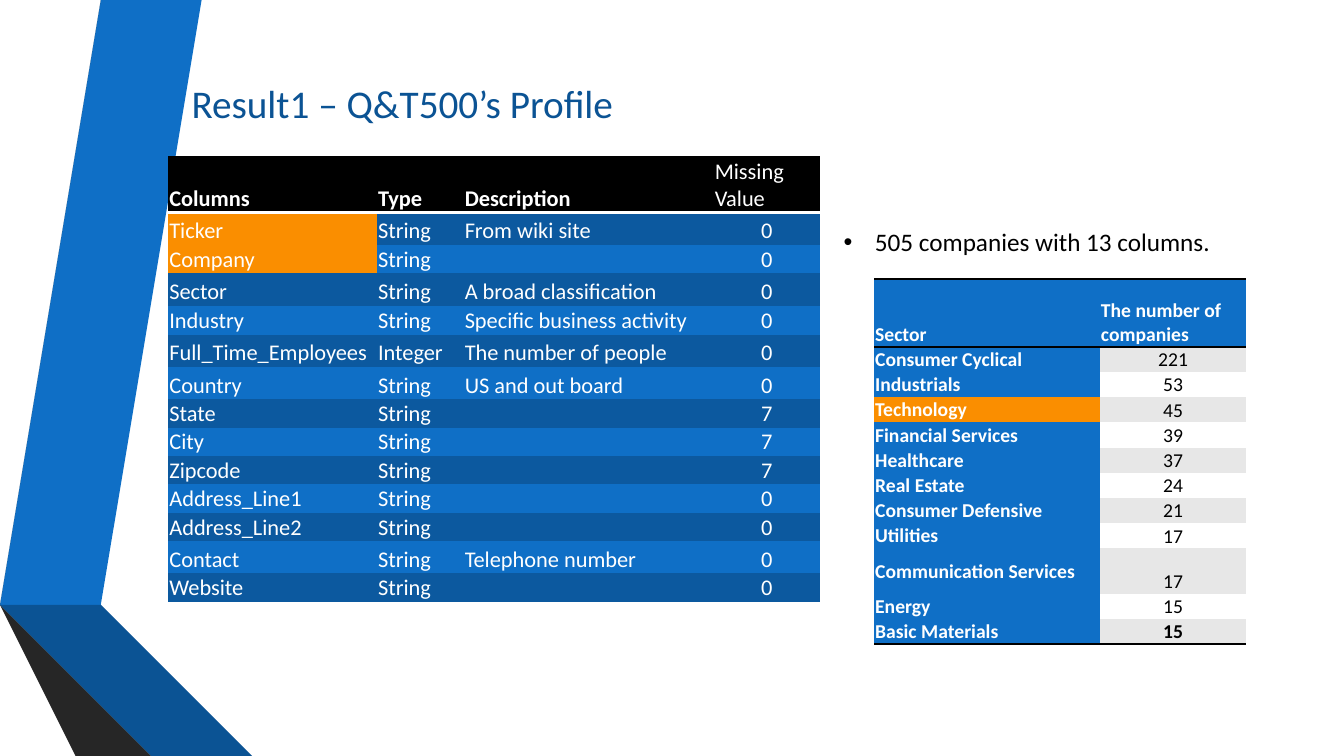
from lxml import etree
from pptx import Presentation
from pptx.dml.color import RGBColor
from pptx.enum.text import MSO_ANCHOR, MSO_AUTO_SIZE, PP_ALIGN
from pptx.oxml.ns import qn
from pptx.util import Emu, Inches, Pt

LEFT, CENTER = PP_ALIGN.LEFT, PP_ALIGN.CENTER
BOTTOM, MIDDLE = MSO_ANCHOR.BOTTOM, MSO_ANCHOR.MIDDLE
NO_FIT = MSO_AUTO_SIZE.NONE

WHITE = RGBColor(0xFF, 0xFF, 0xFF)
BLACK = RGBColor(0x00, 0x00, 0x00)
BLUE = RGBColor(0x0F, 0x6F, 0xC6)
BAND_BLUE = RGBColor(0x0C, 0x59, 0x9F)
DEEP_BLUE = RGBColor(0x0B, 0x53, 0x94)
NAVY = RGBColor(0x08, 0x37, 0x63)
ORANGE = RGBColor(0xFA, 0x8E, 0x00)
PALE_GREY = RGBColor(0xE7, 0xE7, 0xE7)
GREY = RGBColor(0x59, 0x59, 0x59)
DARK_GREY = RGBColor(0x40, 0x40, 0x40)
SOOT = RGBColor(0x26, 0x26, 0x26)

FONT = "Calibri"
PLAIN_TABLE = "{2D5ABB26-0587-4C30-8999-92F81FD0307C}"

deck = Presentation()
deck.slide_width, deck.slide_height = Inches(13.33), Inches(7.5)
slide = deck.slides.add_slide(deck.slide_layouts[5])


def add_plain_table(left, top, widths, heights):
    """Add a table without style bands or grid lines."""
    frame = slide.shapes.add_table(
        len(heights), len(widths), Inches(left), Inches(top),
        Inches(sum(widths)), Inches(sum(heights)))
    table = frame.table
    table.first_row = table.horz_banding = False
    table._tbl.tblPr.find(qn("a:tableStyleId")).text = PLAIN_TABLE
    for column, width in zip(table.columns, widths):
        column.width = Inches(width)
    for row, height in zip(table.rows, heights):
        row.height = Inches(height)
    return table


def fill_cell(cell, text, size, fill, color=WHITE, bold=False, align=LEFT,
              anchor=BOTTOM, edges=(), edge_color=BLACK):
    """Format one cell; edges lists its border tags in schema order."""
    cell.margin_left = cell.margin_right = cell.margin_top = Inches(0.01)
    cell.margin_bottom = 0
    cell.vertical_anchor = anchor
    cell.fill.solid()
    cell.fill.fore_color.rgb = fill
    para = cell.text_frame.paragraphs[0]
    para.alignment = align
    if text:
        span = para.add_run()
        span.text = text
        span.font.name, span.font.size = FONT, Pt(size)
        span.font.bold, span.font.color.rgb = bold, color
    else:
        etree.SubElement(para._p, qn("a:endParaRPr"), sz=str(size * 100))
    properties = cell._tc.get_or_add_tcPr()
    for place, edge in enumerate(edges):
        line = etree.Element(qn(edge), w=str(Pt(2)))
        paint = etree.SubElement(line, qn("a:solidFill"))
        etree.SubElement(paint, qn("a:srgbClr"), val=str(edge_color))
        properties.insert(place, line)


# Folded ribbons on the left
ribbons = [
    (BLUE, [(0.5, 5.78), (0.77, 5.83), (1.73, 0), (1.45, 0)]),
    (GREY, [(1.39, 0), (1.11, 0), (0.16, 5.73), (0.44, 5.77)]),
    (SOOT, [(0.16, 5.73), (1.45, 7.5), (1.51, 7.5)]),
    (NAVY, [(0.5, 5.79), (2.08, 7.5), (2.14, 7.5)]),
    (DEEP_BLUE, [(0.5, 5.78), (2.14, 7.5), (2.83, 7.5), (0.77, 5.83)]),
    (DARK_GREY, [(2.02, 7.5), (0.48, 5.83), (0.44, 5.77), (0.16, 5.73),
                 (1.51, 7.5)]),
]
for color, points in ribbons:
    builder = slide.shapes.build_freeform(*points[0], scale=Inches(1))
    builder.add_line_segments(points[1:], close=True)
    ribbon = builder.convert_to_shape()
    ribbon.shadow.inherit = False
    ribbon.fill.solid()
    ribbon.fill.fore_color.rgb = color
    ribbon.line.fill.background()

# Title
title = slide.shapes.title
title.left, title.top = Inches(1.8), Inches(0.67)
title.width, title.height = Inches(5.04), Inches(0.63)
title.text_frame.auto_size = NO_FIT
title.text_frame.vertical_anchor = BOTTOM
para = title.text_frame.paragraphs[0]
para.alignment = LEFT
span = para.add_run()
span.text = "Result1 – Q&T500’s Profile"
span.font.name, span.font.size = FONT, Pt(28)
span.font.color.rgb = DEEP_BLUE

# Column profile
profile = [
    ("Columns", "Type", "Description", "Missing Value"),
    ("Ticker", "String", "From wiki site", "0"),
    ("Company", "String", "", "0"),
    ("Sector", "String", "A broad classification", "0"),
    ("Industry", "String", "Specific business activity", "0"),
    ("Full_Time_Employees", "Integer", "The number of people", "0"),
    ("Country", "String", "US and out board", "0"),
    ("State", "String", "", "7"),
    ("City", "String", "", "7"),
    ("Zipcode", "String", "", "7"),
    ("Address_Line1", "String", "", "0"),
    ("Address_Line2", "String", "", "0"),
    ("Contact", "String", "Telephone number", "0"),
    ("Website", "String", "", "0"),
]
heights = [0.56] + [0.32 if record[2] else 0.28 for record in profile[1:]]
heights[4] = 0.29
table = add_plain_table(1.67, 1.55, [2.07, 0.86, 2.48, 1.05], heights)
for r, record in enumerate(profile):
    for c, text in enumerate(record):
        cell = table.cell(r, c)
        if r == 0:
            fill_cell(cell, text, 16, BLACK, bold=c < 3, edges=["a:lnB"],
                      edge_color=WHITE)
            continue
        fill = BAND_BLUE if r % 2 else BLUE
        if text in ("Ticker", "Company"):
            fill = ORANGE
        fill_cell(cell, text, 16, fill, align=CENTER if c == 3 else LEFT)

# Summary bullet
box = slide.shapes.add_textbox(Inches(8.27), Inches(2.2), Inches(5.06), Inches(0.4))
box.text_frame.word_wrap = True
para = box.text_frame.paragraphs[0]
indent = Inches(0.31)
bullet_properties = para._p.get_or_add_pPr()
bullet_properties.set("marL", str(indent))
bullet_properties.set("indent", str(Emu(-indent)))
etree.SubElement(bullet_properties, qn("a:buFont"), typeface="Arial")
etree.SubElement(bullet_properties, qn("a:buChar"), char="•")
span = para.add_run()
span.text = "505 companies with 13 columns."
span.font.name, span.font.size = FONT, Pt(18)
span.font.color.rgb = BLACK

# Companies per sector
sectors = [
    ("Sector", "The number of companies"),
    ("Consumer Cyclical", "221"),
    ("Industrials", "53"),
    ("Technology", "45"),
    ("Financial Services", "39"),
    ("Healthcare", "37"),
    ("Real Estate", "24"),
    ("Consumer Defensive", "21"),
    ("Utilities", "17"),
    ("Communication Services", "17"),
    ("Energy", "15"),
    ("Basic Materials", "15"),
]
last = len(sectors) - 1
heights = [0.67] + [0.25] * last
heights[9] = 0.45
table = add_plain_table(8.67, 2.77, [2.24, 1.45], heights)
for r, (sector, count) in enumerate(sectors):
    name_cell, count_cell = table.cell(r, 0), table.cell(r, 1)
    if r == 0:
        for cell, text in ((name_cell, sector), (count_cell, count)):
            fill_cell(cell, text, 14, BLUE, bold=True, edges=["a:lnT", "a:lnB"])
        continue
    edges = ["a:lnB"] if r == last else []
    fill_cell(name_cell, sector, 14, ORANGE if sector == "Technology" else BLUE,
              bold=True, anchor=MIDDLE, edges=edges)
    fill_cell(count_cell, count, 14, PALE_GREY if r % 2 else WHITE, BLACK,
              bold=r == last, align=CENTER, edges=edges)

deck.save("out.pptx")
